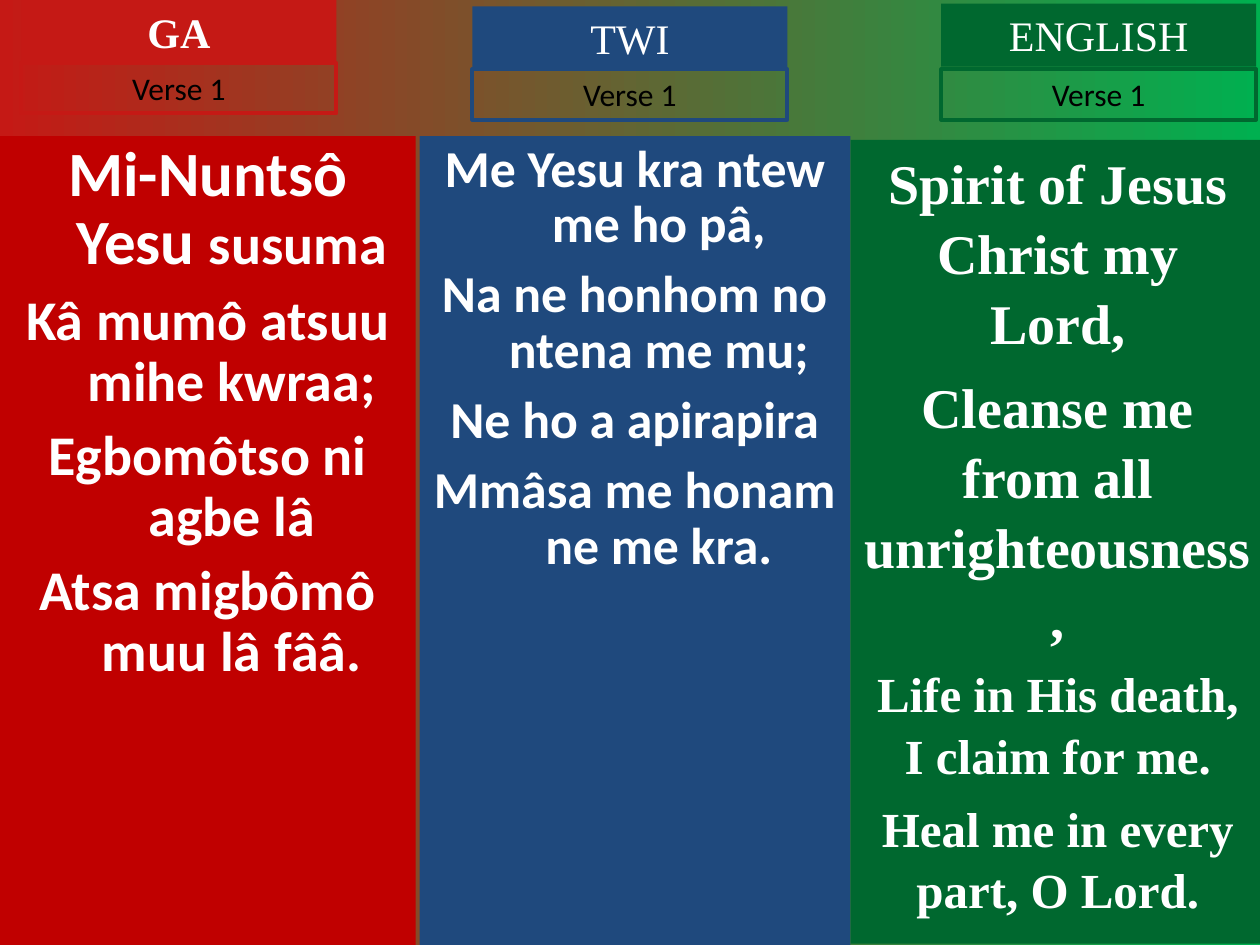
from pptx import Presentation
from pptx.dml.color import RGBColor
from pptx.enum.shapes import MSO_SHAPE
from pptx.enum.text import MSO_ANCHOR, MSO_AUTO_SIZE, PP_ALIGN
from pptx.util import Inches, Pt

COLORS = {
    "red": "C51915",
    "dark_red": "C00000",
    "blue": "1F497D",
    "dark_green": "00682F",
    "green": "00B050",
    "white": "FFFFFF",
    "black": "000000",
}
SERIF, SANS = "Times New Roman", "Calibri"
HEADER_W, HEADER_H, VERSE_H = 2.5, 0.5, 0.4

# Each verse line is a list of (text, size) runs.
COLUMNS = [
    dict(title="GA", bold=True, color="red", header=(0.17, 0), verse_top=0.5,
         body_color="dark_red", body=(0, 1.08, 3.3, 6.42), font=SANS,
         hanging=0.38, spacing=0.9, before=[0, 8, 8, 8],
         lines=[[("Mi-Nuntsô Yesu ", 36), ("susuma", 32)],
                [("Kâ mumô atsuu mihe kwraa;", 32)],
                [("Egbomôtso ni agbe lâ", 32)],
                [("Atsa migbômô muu lâ fââ.", 32)]]),
    dict(title="TWI", bold=False, color="blue", header=(3.75, 0.05), verse_top=0.55,
         body_color="blue", body=(3.33, 1.08, 3.42, 6.42), font=SANS,
         hanging=0.38, spacing=0.9, before=[0, 8, 8, 8],
         lines=[[("Me Yesu kra ntew me ho pâ,", 29.6)],
                [("Na ne honhom no ntena me mu;", 29.6)],
                [("Ne ho a apirapira", 29.6)],
                [("Mmâsa me honam ne me kra.", 29.6)]]),
    dict(title="ENGLISH", bold=False, color="dark_green", header=(7.47, 0.03), verse_top=0.55,
         body_color="dark_green", body=(6.75, 1.11, 3.29, 6.38), font=SERIF,
         hanging=0, spacing=1.04, before=[0, 8, 7, 7],
         lines=[[("Spirit of Jesus Christ my Lord,", 32)],
                [("Cleanse me from all unrighteousness,", 32)],
                [("Life in His death, I claim for me.", 28)],
                [("Heal me in every part, O Lord.", 28)]]),
]


def rgb(name):
    return RGBColor.from_string(COLORS[name])


def add_box(slide, box, fill=None, line=None):
    sp = slide.shapes.add_shape(MSO_SHAPE.RECTANGLE, *map(Inches, box))
    sp.shadow.inherit = False
    if fill:
        sp.fill.solid()
        sp.fill.fore_color.rgb = rgb(fill)
    else:
        sp.fill.background()
    if line:
        sp.line.color.rgb = rgb(line)
        sp.line.width = Pt(2.25)
    else:
        sp.line.fill.background()
    tf = sp.text_frame
    tf.word_wrap = True
    tf.vertical_anchor = MSO_ANCHOR.TOP
    return tf


def add_run(p, text, size, font, color, bold):
    p.alignment = PP_ALIGN.CENTER
    r = p.add_run()
    r.text = text
    r.font.size = Pt(size)
    r.font.name = font
    r.font.bold = bold
    r.font.color.rgb = rgb(color)


def add_heading(slide, col):
    """Language name with the verse number framed below it."""
    left, top = col["header"]
    title = add_box(slide, (left, top, HEADER_W, HEADER_H), fill=col["color"])
    add_run(title.paragraphs[0], col["title"], 24, SERIF, "white", col["bold"])
    verse = add_box(slide, (left, col["verse_top"], HEADER_W, VERSE_H), line=col["color"])
    add_run(verse.paragraphs[0], "Verse 1", 18, SANS, "black", False)
    for tf in (title, verse):
        tf.auto_size = MSO_AUTO_SIZE.SHAPE_TO_FIT_TEXT


def add_lyrics(slide, col):
    tf = add_box(slide, col["body"], fill=col["body_color"])
    for i, (line, before) in enumerate(zip(col["lines"], col["before"])):
        p = tf.add_paragraph() if i else tf.paragraphs[0]
        p.line_spacing = col["spacing"]
        p.space_before = Pt(before)
        if col["hanging"]:
            pPr = p._p.get_or_add_pPr()
            pPr.set("marL", str(Inches(col["hanging"])))
            pPr.set("indent", str(-Inches(col["hanging"])))
        for text, size in line:
            add_run(p, text, size, col["font"], "white", True)


def set_background(slide):
    fill = slide.background.fill
    fill.gradient()
    fill.gradient_angle = 0
    for stop, name, position in zip(fill.gradient_stops, ("red", "green"), (0, 1)):
        stop.color.rgb = rgb(name)
        stop.position = position


def main():
    prs = Presentation()
    prs.slide_width, prs.slide_height = Inches(10), Inches(7.5)
    slide = prs.slides.add_slide(prs.slide_layouts[6])
    set_background(slide)
    for col in COLUMNS:
        add_lyrics(slide, col)
        add_heading(slide, col)
    prs.save("out.pptx")


if __name__ == "__main__":
    main()
